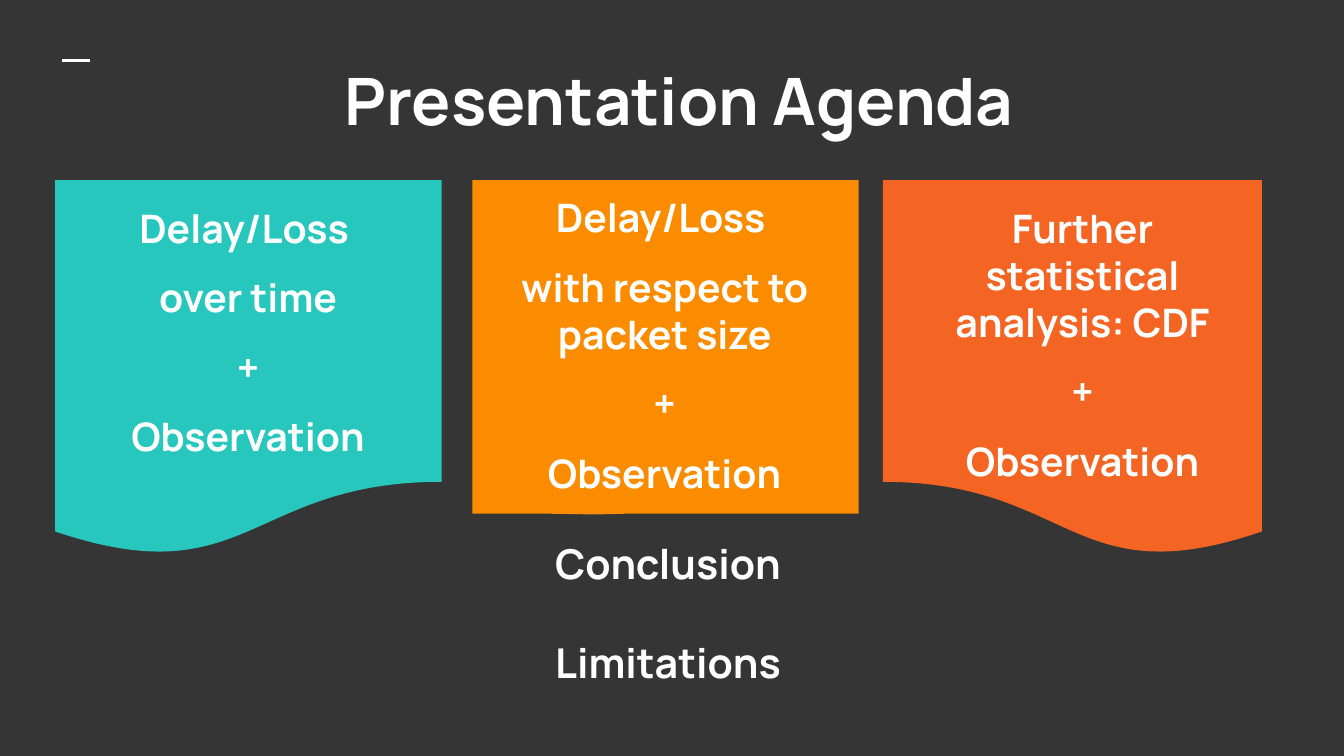
from lxml.etree import SubElement
from pptx import Presentation
from pptx.dml.color import RGBColor
from pptx.enum.shapes import MSO_CONNECTOR as Connector, MSO_SHAPE as Shape
from pptx.enum.text import MSO_ANCHOR as Anchor, PP_ALIGN as Align
from pptx.oxml.ns import qn
from pptx.util import Pt

FONT = "Manrope"
WHITE = "FFFFFF"
CARD_TOP = 96.5


def paint(color_format, value):
    color_format.rgb = RGBColor.from_string(value)


def set_background(page, color):
    fill = page.background.fill
    fill.solid()
    paint(fill.fore_color, color)


def add_text(page, lines, left, top, width, height, size=21, gap=0, after=0):
    box = page.shapes.add_textbox(Pt(left), Pt(top), Pt(width), Pt(height))
    frame = box.text_frame
    frame.word_wrap = True
    frame.vertical_anchor = Anchor.TOP
    frame.margin_left = frame.margin_right = Pt(7.2)
    frame.margin_top = frame.margin_bottom = Pt(7.2)
    for index, line in enumerate(lines):
        para = frame.paragraphs[0] if index == 0 else frame.add_paragraph()
        para.alignment = Align.CENTER
        para.space_before = Pt(gap if index else 0)
        para.space_after = Pt(after if index == len(lines) - 1 else 0)
        span = para.add_run()
        span.text = line
        span.font.name = FONT
        span.font.size = Pt(size)
        span.font.bold = True
        paint(span.font.color, WHITE)


def add_card(page, kind, left, width, height, color):
    card = page.shapes.add_shape(
        kind, Pt(left), Pt(CARD_TOP), Pt(width), Pt(height))
    card.shadow.inherit = False
    card.fill.solid()
    paint(card.fill.fore_color, color)
    card.line.fill.background()
    return card


def add_dash(page, left, right, top):
    dash = page.shapes.add_connector(
        Connector.STRAIGHT, Pt(left), Pt(top), Pt(right), Pt(top))
    dash.line.width = Pt(1.5)
    paint(dash.line.color, WHITE)
    SubElement(dash._element.spPr, qn("a:effectLst"))


def main():
    deck = Presentation()
    deck.slide_width, deck.slide_height = Pt(720), Pt(405)
    page = deck.slides.add_slide(deck.slide_layouts[6])
    set_background(page, "353535")
    add_dash(page, 33.5, 48, 32.5)

    add_text(page, ["Conclusion", "Limitations"],
             169.2, 281.5, 377.3, 76.3, size=22, gap=26.5)

    add_card(page, Shape.FLOWCHART_DOCUMENT, 29.5, 207, 201.6, "27C7BD")
    callout = add_card(page, Shape.RECTANGULAR_CALLOUT, 253, 207, 178.6, "FB8C00")
    callout.adjustments[0] = -0.18
    callout.adjustments[1] = 0.503
    mirrored = add_card(page, Shape.FLOWCHART_DOCUMENT, 473, 203, 201.6, "F46524")
    mirrored._element.spPr.xfrm.set("flipH", "1")

    topics = [
        (["Further statistical analysis: CDF"], 482.4, 102.2, 195.1),
        (["Delay/Loss ", "over time"], 53.3, 102.2, 159.1),
        (["Delay/Loss ", "with respect to packet size"], 258.5, CARD_TOP, 195.1),
    ]
    for lines, left, top, width in topics:
        add_text(page, lines + ["+", "Observation"],
                 left, top, width, 157.7, gap=12, after=12)

    add_text(page, [" Presentation Agenda"], 9.4, 25.2, 702, 55.4, size=35)
    deck.save("out.pptx")


if __name__ == "__main__":
    main()
